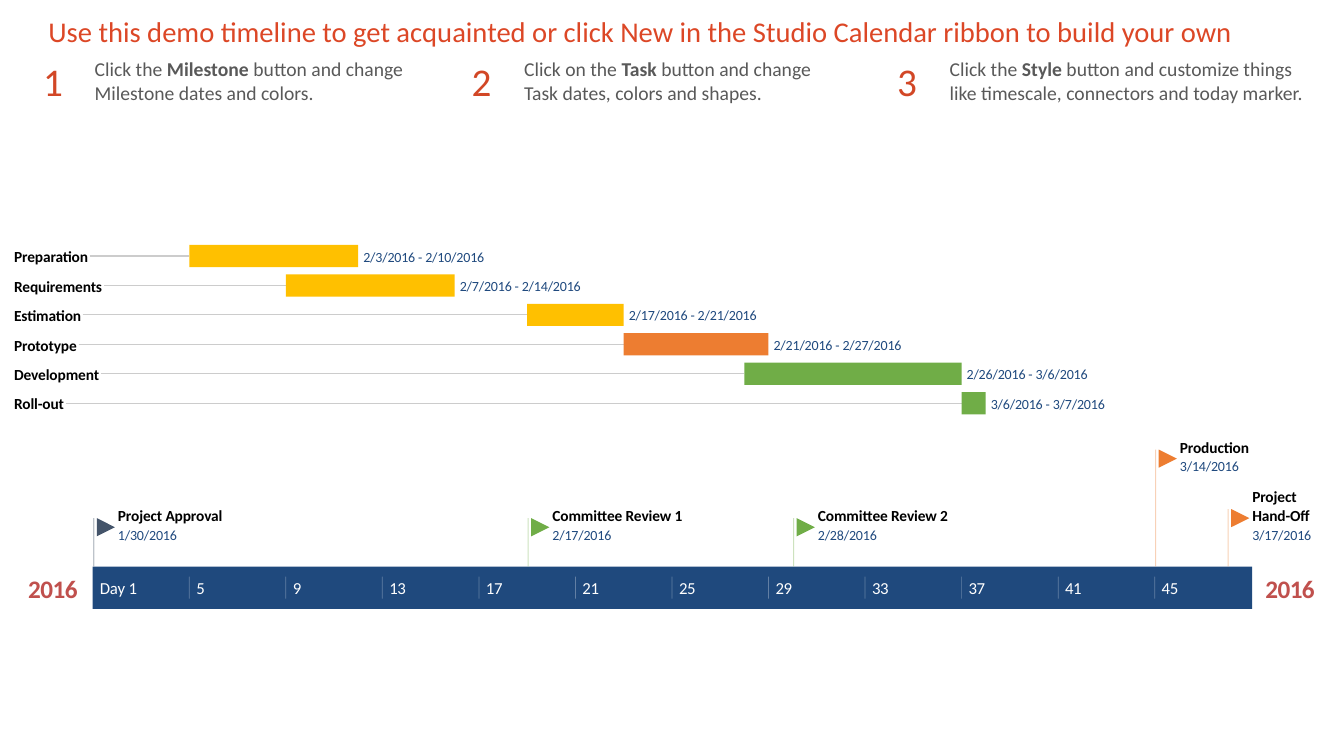
from dataclasses import dataclass

from lxml import etree
from pptx import Presentation
from pptx.dml.color import RGBColor
from pptx.enum import shapes, text
from pptx.oxml import ns
from pptx.util import Inches, Pt

COLORS = {
    "title": "DC4726", "number": "D24726", "step": "595959", "name": "000000",
    "date": "1F497E", "year": "C0504D", "scale": "1F497D", "white": "FFFFFF",
    "leader": "CCCCCC", "yellow": "FFC000", "orange": "ED7D31",
    "green": "70AD47", "slate": "44546A",
}
FONT = "Calibri"
SCALE_LEFT, SCALE_TOP, SCALE_HEIGHT = 0.92, 5.62, 0.42
DAY_WIDTH = 11.49 / 48
ROW_TOP, ROW_PITCH, ROW_HEIGHT = 2.43, 1.46 / 5, 0.22
NAME_LEFT, NAME_HEIGHT, DATE_HEIGHT = 0.14, 0.19, 0.17
FLAG_SIZE = 0.18


@dataclass
class Task:
    """A bar between two days, counted from the start of the scale."""
    name: str
    name_width: float
    start: int
    end: int
    dates: str
    color: str


@dataclass
class Milestone:
    """A flag on one day, counted from the start of the scale."""
    name: str
    name_width: float
    day: int
    date: str
    color: str
    flag_top: float
    date_top: float
    name_lines: int = 1


@dataclass
class Step:
    """A numbered instruction; each line is a list of (words, bold) pairs."""
    number_left: float
    text_left: float
    width: float
    lines: list[list[tuple[str, bool]]]


TASKS = [
    Task("Preparation", 0.75, 4, 11, "2/3/2016 - 2/10/2016", "yellow"),
    Task("Requirements", 0.89, 8, 15, "2/7/2016 - 2/14/2016", "yellow"),
    Task("Estimation", 0.68, 18, 22, "2/17/2016 - 2/21/2016", "yellow"),
    Task("Prototype", 0.64, 22, 28, "2/21/2016 - 2/27/2016", "orange"),
    Task("Development", 0.86, 27, 36, "2/26/2016 - 3/6/2016", "green"),
    Task("Roll-out", 0.51, 36, 37, "3/6/2016 - 3/7/2016", "green"),
]
MILESTONES = [
    Milestone("Project Approval", 1.07, 0, "1/30/2016", "slate", 5.14, 5.22),
    Milestone("Committee Review 1", 1.32, 18, "2/17/2016", "green", 5.14, 5.22),
    Milestone("Committee Review 2", 1.32, 29, "2/28/2016", "green", 5.14, 5.22),
    Milestone("Production", 0.71, 44, "3/14/2016", "orange", 4.46, 4.54),
    Milestone("Project Hand-Off", 0.58, 47, "3/17/2016", "orange", 5.05, 5.22, 2),
]
STEPS = [
    Step(0.33, 0.84, 3.67, [[("Click the ", False), ("Milestone", True),
         (" button and change Milestone dates and colors.", False)]]),
    Step(4.58, 5.1, 3.51, [[("Click on the ", False), ("Task", True),
         (" button and change", False)], [("Task dates, colors and shapes.", False)]]),
    Step(8.8, 9.32, 3.73, [[("Click the ", False), ("Style", True),
         (" button and customize things like timescale, connectors and today marker.",
          False)]]),
]

presentation = Presentation()
presentation.slide_width, presentation.slide_height = Inches(13.33), Inches(7.5)
slide = presentation.slides.add_slide(presentation.slide_layouts[5])


def rgb(color: str) -> RGBColor:
    """Return a named colour."""
    return RGBColor.from_string(COLORS[color])


def day_left(day: int) -> float:
    """Return the position of a day on the scale, in inches."""
    return SCALE_LEFT + day * DAY_WIDTH


def format_paragraph(paragraph, size: float, color: str, bold: bool | None = None,
                     spacing: int = 0) -> None:
    """Set the font of a paragraph; spacing is in hundredths of a point."""
    font = paragraph.font
    font.name, font.size, font.bold = FONT, Pt(size), bold
    font.color.rgb = rgb(color)
    if spacing:
        properties = paragraph._p.get_or_add_pPr().get_or_add_defRPr()
        properties.set("spc", str(spacing))


def add_frame(left: float, top: float, width: float, height: float, wrap: bool):
    """Add an empty text box and return its text frame."""
    box = slide.shapes.add_textbox(Inches(left), Inches(top), Inches(width), Inches(height))
    box.text_frame.word_wrap = wrap
    return box.text_frame


def add_label(words: str, left: float, top: float, width: float, height: float,
              size: float, color: str, bold: bool = False, spacing: int = -10,
              wrap: bool = False, align=text.PP_ALIGN.LEFT) -> None:
    """Add a text box without margins, centred vertically."""
    frame = add_frame(left, top, width, height, wrap)
    frame.margin_left = frame.margin_right = frame.margin_top = frame.margin_bottom = 0
    frame.vertical_anchor = text.MSO_ANCHOR.MIDDLE
    paragraph = frame.paragraphs[0]
    paragraph.text, paragraph.alignment = words, align
    format_paragraph(paragraph, size, color, bold, spacing)


def add_line(x1: float, y1: float, x2: float, y2: float, color: str,
             width: float = 0.75, opacity: int = 100) -> None:
    """Add a straight line; opacity is in percent."""
    line = slide.shapes.add_connector(
        shapes.MSO_CONNECTOR.STRAIGHT, Inches(x1), Inches(y1), Inches(x2), Inches(y2))
    line.line.width, line.line.color.rgb = Pt(width), rgb(color)
    properties = line._element.spPr
    if opacity < 100:
        fill = properties.find(".//" + ns.qn("a:srgbClr"))
        etree.SubElement(fill, ns.qn("a:alpha"), val=str(opacity * 1000))
    etree.SubElement(properties, ns.qn("a:effectLst"))


def add_solid(kind, left: float, top: float, width: float, height: float, color: str):
    """Add a filled shape without outline or shadow."""
    shape = slide.shapes.add_shape(
        kind, Inches(left), Inches(top), Inches(width), Inches(height))
    shape.shadow.inherit = False
    shape.fill.solid()
    shape.fill.fore_color.rgb = rgb(color)
    shape.line.fill.background()
    return shape


def add_title(words: str) -> None:
    """Place and format the title."""
    title = slide.shapes.title
    title.left, title.top, title.width, title.height = map(Inches, (0.38, 0.08, 12.35, 0.45))
    frame = title.text_frame
    frame.text = words
    frame.auto_size = text.MSO_AUTO_SIZE.NONE
    frame.vertical_anchor = text.MSO_ANCHOR.BOTTOM
    frame.paragraphs[0].alignment = text.PP_ALIGN.LEFT
    format_paragraph(frame.paragraphs[0], 20.4, "title")


def add_step(number: int, step: Step) -> None:
    """Add an instruction and its large number."""
    frame = add_frame(step.text_left, 0.52, step.width, 0.57, True)
    for index, line in enumerate(step.lines):
        paragraph = frame.add_paragraph() if index else frame.paragraphs[0]
        format_paragraph(paragraph, 14, "step")
        for words, bold in line:
            run = paragraph.add_run()
            run.text, run.font.bold = words, bold
    paragraph = add_frame(step.number_left, 0.52, 0.4, 0.57, False).paragraphs[0]
    paragraph.text = str(number)
    format_paragraph(paragraph, 28, "number")


def add_task(row: int, task: Task) -> None:
    """Add a task row: leader line, bar, name and dates."""
    top = ROW_TOP + row * ROW_PITCH
    left, right = day_left(task.start), day_left(task.end)
    middle = top + ROW_HEIGHT / 2
    add_line(NAME_LEFT + task.name_width, middle, left, middle, "leader")
    add_solid(shapes.MSO_SHAPE.RECTANGLE, left, top, right - left, ROW_HEIGHT, task.color)
    add_label(task.dates, right + 0.05, top + 0.03, 0.08 * len(task.dates) - 0.36,
              DATE_HEIGHT, 10, "date")
    add_label(task.name, NAME_LEFT, top + 0.02, task.name_width, NAME_HEIGHT,
              11, "name", bold=True)


def add_milestone(milestone: Milestone) -> None:
    """Add a milestone: pole, flag, name and date."""
    pole = day_left(milestone.day) + 0.01
    add_line(pole, milestone.flag_top, pole, SCALE_TOP, milestone.color, opacity=35)
    flag = add_solid(shapes.MSO_SHAPE.FLOWCHART_MERGE, pole + 0.03, milestone.flag_top,
                     FLAG_SIZE, FLAG_SIZE, milestone.color)
    flag.rotation = 270
    height = NAME_HEIGHT * milestone.name_lines
    add_label(milestone.name, pole + 0.24, milestone.date_top - 0.01 - height,
              milestone.name_width, height, 11, "name", bold=True,
              wrap=milestone.name_lines > 1)
    add_label(milestone.date, pole + 0.24, milestone.date_top, 0.61, DATE_HEIGHT, 10, "date")


def add_scale() -> None:
    """Add the day scale with a mark every four days and the years beside it."""
    add_solid(shapes.MSO_SHAPE.RECTANGLE, SCALE_LEFT, SCALE_TOP, 11.5, SCALE_HEIGHT, "scale")
    for day in range(0, 48, 4):
        left = day_left(day)
        if day:
            add_line(left, 5.72, left, 5.94, "white", 0.5, opacity=30)
        add_label(str(day + 1) if day else "Day 1", left + 0.07, 5.73, 0.5, 0.2, 12,
                  "white", spacing=-30 if day else -10, wrap=True)
    for left in (0.28, 12.55):
        add_label("2016", left, 5.68, 0.49, 0.31, 18, "year", bold=True, spacing=-40,
                  align=text.PP_ALIGN.CENTER)


add_title("Use this demo timeline to get acquainted or click New in the "
          "Studio Calendar ribbon to build your own")
for number, step in enumerate(STEPS, start=1):
    add_step(number, step)
for row, task in enumerate(TASKS):
    add_task(row, task)
add_scale()
for milestone in MILESTONES:
    add_milestone(milestone)
presentation.save("out.pptx")
